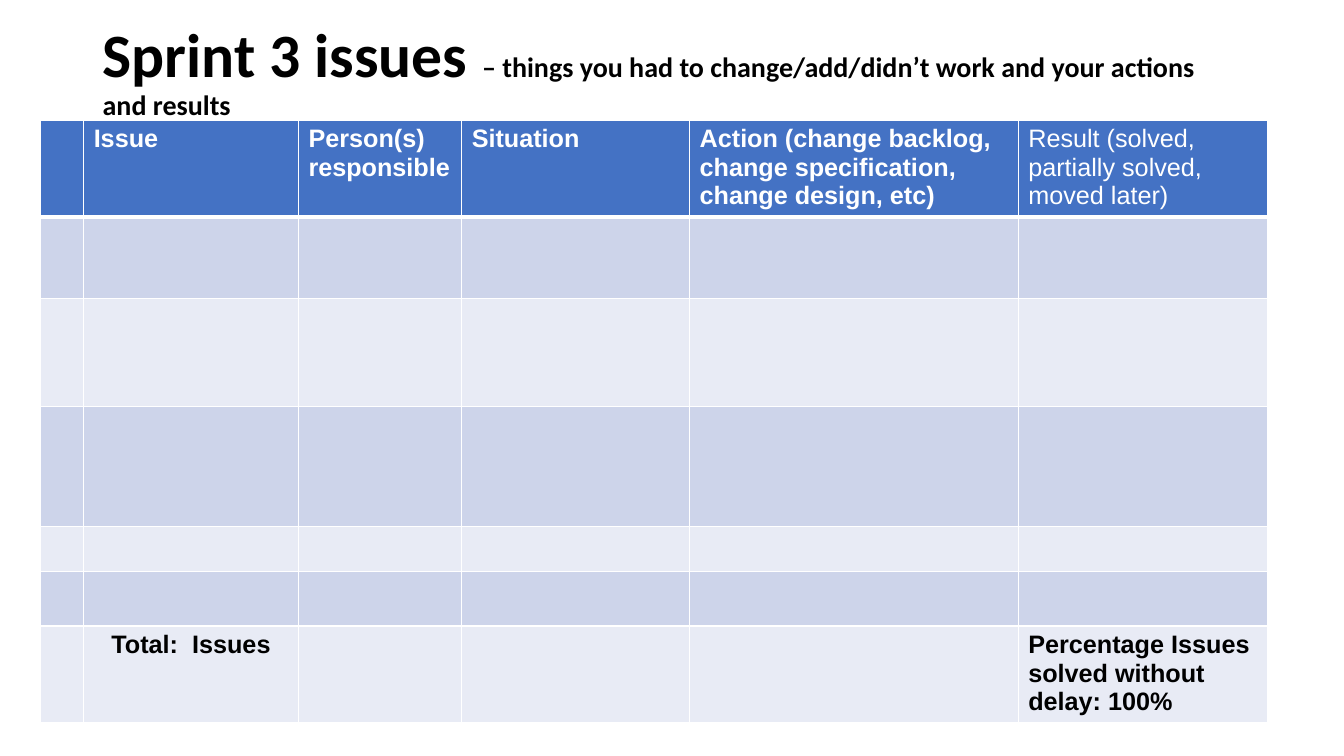
from dataclasses import dataclass

from lxml import etree
from pptx import Presentation
from pptx.dml.color import RGBColor
from pptx.enum import text
from pptx.oxml import ns
from pptx.util import Inches, Pt


@dataclass(frozen=True)
class Theme:
    title_font: str = "Calibri"
    table_font: str = "Arial"
    title_size: int = 44
    subtitle_size: int = 20
    table_size: int = 18
    ink: str = "000000"
    header_ink: str = "FFFFFF"
    header_fill: str = "4472C4"
    band_fills: tuple = ("E8EBF5", "CDD4EA")
    rule_color: str = "FFFFFF"
    header_rule: int = 3


THEME = Theme()
COLUMN_WIDTHS = (0.43, 2.13, 1.62, 2.26, 3.26, 2.47)
ROW_HEIGHTS = (0.96, 0.81, 1.07, 1.19, 0.45, 0.54, 0.96)
HEADERS = (
    "",
    "Issue",
    "Person(s) responsible",
    "Situation",
    "Action (change backlog, change specification, change design, etc)",
    "Result (solved, partially solved, moved later)",
)
TOTALS = ("", "Total:  Issues", "", "", "",
          "Percentage Issues solved without delay: 100%")


def style_font(font, name, size, color, bold=True):
    font.name = name
    font.size = Pt(size)
    font.bold = bold
    font.color.rgb = RGBColor.from_string(color)


def add_title(page, title, subtitle):
    box = page.shapes.add_textbox(Inches(0.92), 0, Inches(11.5), Inches(1.45))
    frame = box.text_frame
    frame.word_wrap = True
    frame.vertical_anchor = text.MSO_ANCHOR.MIDDLE
    para = frame.paragraphs[0]
    para.line_spacing = 0.9
    for words, size in ((title, THEME.title_size), (subtitle, THEME.subtitle_size)):
        span = para.add_run()
        span.text = words
        style_font(span.font, THEME.title_font, size, THEME.ink)


def fill_cell(cell, words, fill, ink, bold):
    cell.fill.solid()
    cell.fill.fore_color.rgb = RGBColor.from_string(fill)
    cell.margin_bottom = Inches(0.01)
    para = cell.text_frame.paragraphs[0]
    if words:
        para.text = words
    style_font(para.font, THEME.table_font, THEME.table_size, ink, bold)


def rule_below(cell):
    """Draw the thick line that parts the header from the rows."""
    line = etree.Element(ns.qn("a:lnB"), w=str(Pt(THEME.header_rule)))
    paint = etree.SubElement(line, ns.qn("a:solidFill"))
    etree.SubElement(paint, ns.qn("a:srgbClr"), val=THEME.rule_color)
    cell._tc.get_or_add_tcPr().insert(0, line)


def add_issue_table(page):
    """Add the banded table; the default table style draws its thin borders."""
    table = page.shapes.add_table(
        len(ROW_HEIGHTS), len(COLUMN_WIDTHS), Inches(0.4), Inches(1.19),
        Inches(sum(COLUMN_WIDTHS)), Inches(sum(ROW_HEIGHTS))).table
    for column, width in zip(table.columns, COLUMN_WIDTHS):
        column.width = Inches(width)

    blank = ("",) * len(COLUMN_WIDTHS)
    contents = [HEADERS, *[blank] * (len(ROW_HEIGHTS) - 2), TOTALS]
    last_column = len(COLUMN_WIDTHS) - 1
    for r, (row, height, entries) in enumerate(zip(table.rows, ROW_HEIGHTS, contents)):
        row.height = Inches(height)
        is_header = r == 0
        fill = THEME.header_fill if is_header else THEME.band_fills[r % 2]
        ink = THEME.header_ink if is_header else THEME.ink
        for c, (cell, words) in enumerate(zip(row.cells, entries)):
            bold = not (is_header and c == last_column)
            fill_cell(cell, words, fill, ink, bold)
            if is_header:
                rule_below(cell)

    total = table.cell(len(ROW_HEIGHTS) - 1, 1)
    total.text_frame.paragraphs[0].alignment = text.PP_ALIGN.CENTER


def main():
    deck = Presentation()
    deck.slide_width, deck.slide_height = Inches(13.33), Inches(7.5)
    page = deck.slides.add_slide(deck.slide_layouts[6])
    add_title(page, "Sprint 3 issues ",
              "– things you had to change/add/didn’t work and your actions and results")
    add_issue_table(page)
    deck.save("out.pptx")


if __name__ == "__main__":
    main()
